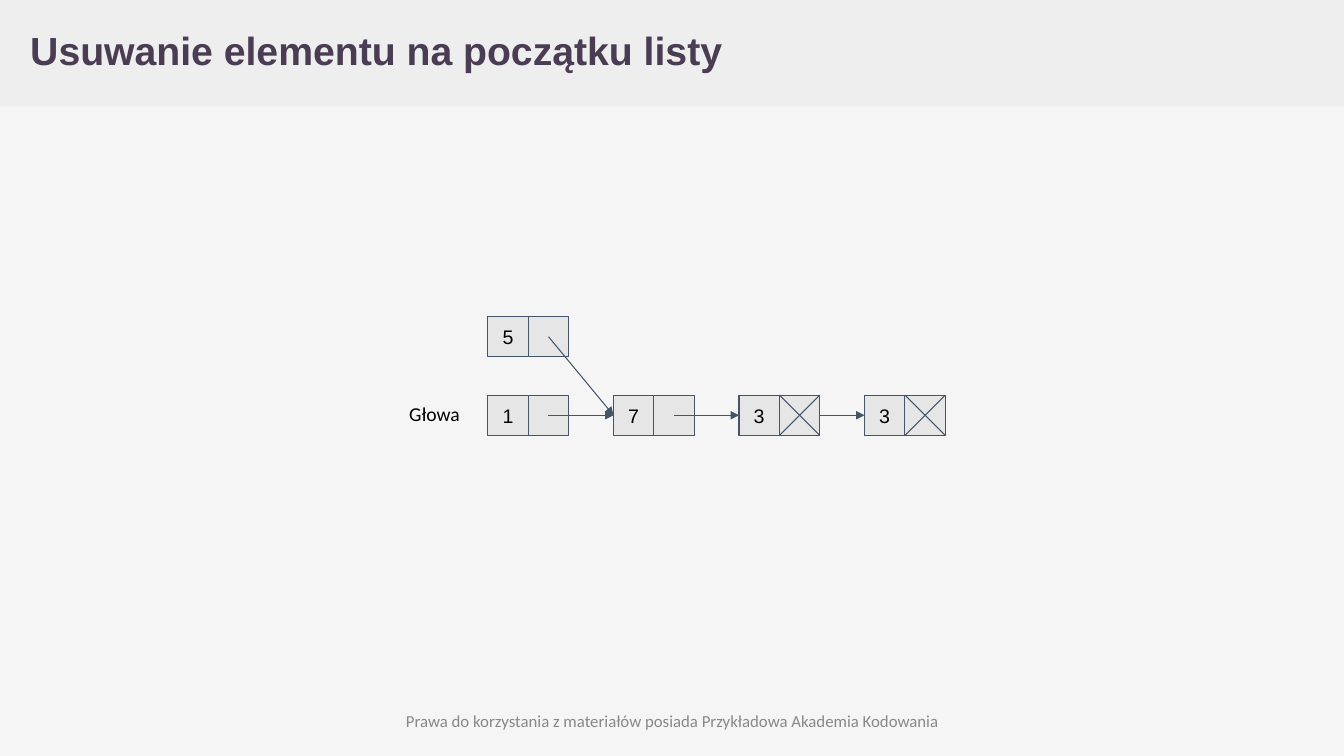
from lxml.etree import SubElement
from pptx import Presentation
from pptx.dml.color import RGBColor
from pptx.enum.shapes import MSO_CONNECTOR as Connector, MSO_SHAPE as Shape
from pptx.enum.text import MSO_ANCHOR as Anchor, PP_ALIGN as Align
from pptx.oxml.ns import qn
from pptx.util import Inches, Pt

WIDTH, HEIGHT = 13.33, 7.5
CELL, STEP = 0.4, 1.245
LIST_LEFT, LIST_TOP, SPARE_TOP = 4.84, 3.92, 3.14
LINE, CELL_FILL = "44546A", "E7E6E6"


def paint(target, color):
    """Give a fill or line format one solid colour."""
    target.solid()
    target.fore_color.rgb = RGBColor.from_string(color)


def write(shape, text, size, font, color, bold=False, align=Align.LEFT,
          anchor=Anchor.MIDDLE, inset=0.1):
    """Put one formatted paragraph in a shape and return it."""
    frame = shape.text_frame
    frame_format = {"word_wrap": True, "vertical_anchor": anchor,
                    "margin_left": Inches(0.1), "margin_right": Inches(0.1),
                    "margin_top": Inches(inset), "margin_bottom": Inches(inset)}
    for name, value in frame_format.items():
        setattr(frame, name, value)
    para = frame.paragraphs[0]
    para.alignment = align
    span = para.add_run()
    span.text = text
    for name, value in {"size": Pt(size), "name": font, "bold": bold}.items():
        setattr(span.font, name, value)
    paint(span.font.fill, color)
    return para


def add_box(page, box, fill, line=None):
    """Draw a plain rectangle, outlined if a line colour is given."""
    shape = page.shapes.add_shape(Shape.RECTANGLE, *map(Inches, box))
    shape.shadow.inherit = False
    paint(shape.fill, fill)
    if line:
        paint(shape.line.fill, line)
        shape.line.width = Pt(0.75)
    else:
        shape.line.fill.background()
    return shape


def add_line(page, start, end, arrow=False):
    """Draw a thin straight line, with an arrowhead at its end if asked."""
    line = page.shapes.add_connector(Connector.STRAIGHT, *map(Inches, start + end))
    paint(line.line.fill, LINE)
    line.line.width = Pt(0.75)
    if arrow:
        SubElement(line.line._get_or_add_ln(), qn("a:tailEnd"), type="triangle")
    SubElement(line._element.spPr, qn("a:effectLst"))


def add_label(page, box, text, size, color, **layout):
    """Add a Calibri text box."""
    write(page.shapes.add_textbox(*map(Inches, box)), text, size, "Calibri",
          color, **layout)


def add_header(page, box):
    """Draw the title band and set the title over it."""
    left, top, width, height = box
    add_box(page, box, "EEEEEE")
    title = page.shapes.title
    page.shapes._spTree.append(title._element)
    place = {"left": left, "top": top, "width": width - 1.41, "height": height}
    for name, value in place.items():
        setattr(title, name, Inches(value))
    para = write(title, "Usuwanie elementu na początku listy", 28, "Arial",
                 "4A3D53", bold=True, inset=0.05)
    para.line_spacing = 0.9
    for name, value in {"marL": Inches(0.2), "indent": 0}.items():
        para._p.get_or_add_pPr().set(name, str(value))


def add_node(page, left, top, value, target=None, crossed=False):
    """Draw a value cell and a pointer cell, with an arrow to the target."""
    pointer, right, bottom = left + CELL, left + 2 * CELL, top + CELL
    start = (pointer + CELL / 2, top + CELL / 2)
    if crossed and target:
        add_line(page, start, target, arrow=True)
    add_box(page, (pointer, top, CELL, CELL), CELL_FILL, LINE)
    value_cell = add_box(page, (left, top, CELL, CELL), CELL_FILL, LINE)
    write(value_cell, value, 14, "Arial", "000000", align=Align.CENTER)
    if crossed:
        add_line(page, (pointer, top), (right, bottom))
        add_line(page, (pointer, bottom), (right, top))
    elif target:
        add_line(page, start, target, arrow=True)


def add_linked_list(page, left, top, spare_top):
    """Draw the list in a row and the removed node above its head."""
    nodes = [("1", False), ("7", False), ("3", True), ("3", True)]
    entries = [(left + i * STEP, top + CELL / 2) for i in range(len(nodes))]
    targets = entries[1:] + [None]
    for (value, crossed), entry, target in zip(nodes, entries, targets):
        add_node(page, entry[0], top, value, target, crossed)
    add_node(page, left, spare_top, "5", entries[1])
    add_label(page, (left - 0.88, top - 0.03, 0.8, 0.47), "Głowa", 14, "000000",
              anchor=Anchor.TOP)


def build_slide(deck):
    """Add the slide on removing the first element of a list."""
    page = deck.slides.add_slide(deck.slide_layouts[5])
    paint(page.background.fill, "F5F5F5")
    add_header(page, (0, 0, WIDTH, 1.05))
    add_linked_list(page, LIST_LEFT, LIST_TOP, SPARE_TOP)
    add_label(page, (3.77, 6.95, 5.8, 0.4),
              "Prawa do korzystania z materiałów posiada Przykładowa Akademia Kodowania",
              12, "888888", align=Align.CENTER, inset=0.05)


def main():
    """Build and save the deck."""
    deck = Presentation()
    deck.slide_width, deck.slide_height = Inches(WIDTH), Inches(HEIGHT)
    build_slide(deck)
    deck.save("out.pptx")


if __name__ == "__main__":
    main()
